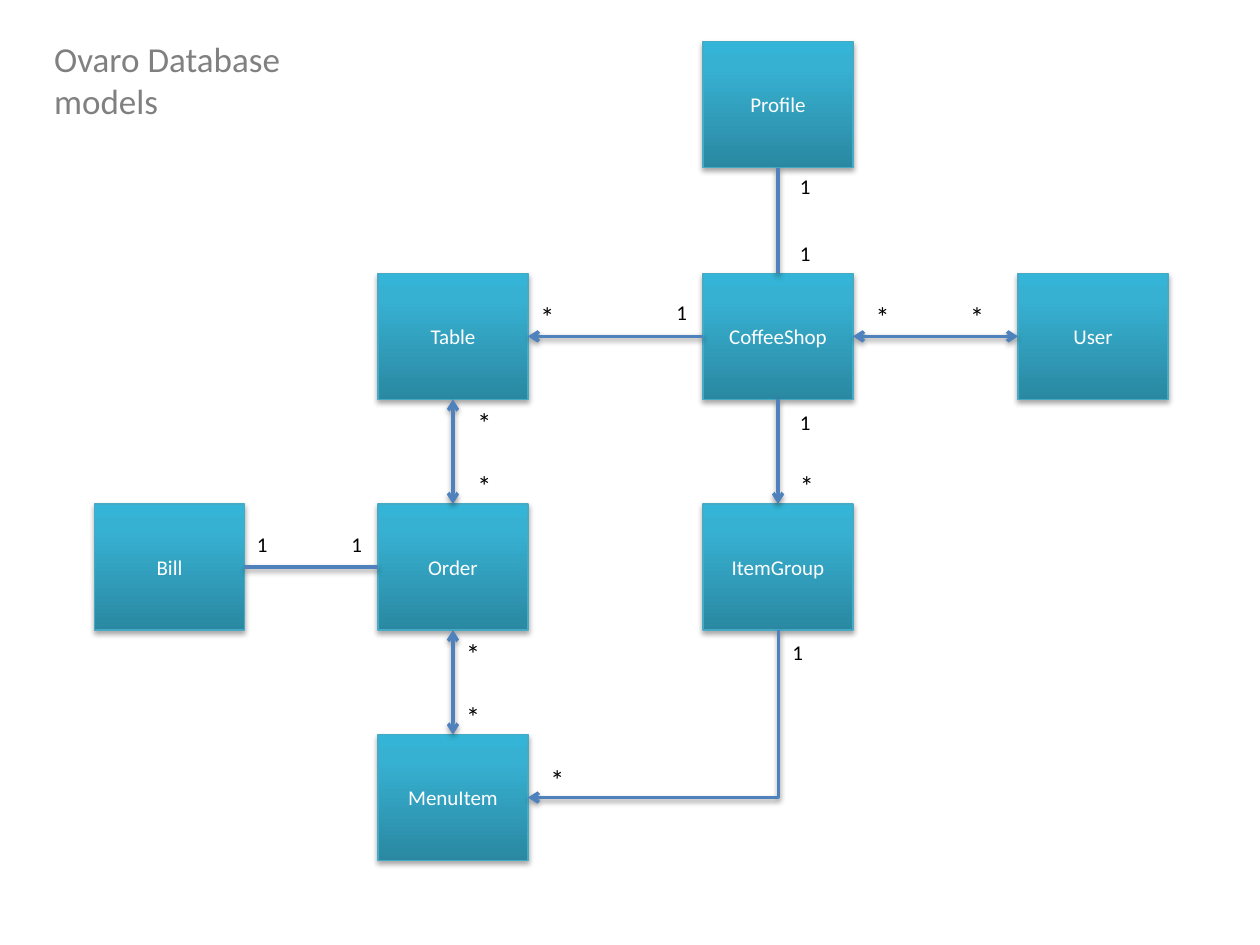
import copy
import pptx
import pptx.util
import pptx.dml.color
import pptx.enum.shapes
import pptx.enum.text
import pptx.oxml
import pptx.oxml.ns

Inches = pptx.util.Inches
qn = pptx.oxml.ns.qn
paint = pptx.dml.color.RGBColor.from_string
TOP, LEFT, BOTTOM, RIGHT = range(4)


def style(font, size, color):
    font.name = "Calibri"
    font.size = pptx.util.Pt(size)
    font.color.rgb = paint(color)


def shade(item, dist, alpha):
    item._element.spPr.append(pptx.oxml.parse_xml(
        f'<a:effectLst {pptx.oxml.ns.nsdecls("a")}>'
        f'<a:outerShdw blurRad="40000" dist="{dist}" dir="5400000" rotWithShape="0">'
        f'<a:srgbClr val="000000"><a:alpha val="{alpha}"/></a:srgbClr>'
        '</a:outerShdw></a:effectLst>'))


deck = pptx.Presentation()
deck.slide_width, deck.slide_height = Inches(10), Inches(7.5)
slide = deck.slides.add_slide(deck.slide_layouts[5])
shapes = slide.shapes

title = shapes.title
title.left, title.top = Inches(0.33), Inches(0.25)
title.width, title.height = Inches(2.86), Inches(0.44)
frame = title.text_frame
frame.text = "Ovaro Database models"
frame.word_wrap = False
frame.auto_size = pptx.enum.text.MSO_AUTO_SIZE.SHAPE_TO_FIT_TEXT
frame.vertical_anchor = pptx.enum.text.MSO_ANCHOR.TOP
frame.paragraphs[0].alignment = pptx.enum.text.PP_ALIGN.LEFT
style(frame.paragraphs[0].font, 20, "808080")

cols = [0.75, 3, 5.58, 8.08]
rows = [0.33, 2.17, 4, 5.83]
models = [
    ("CoffeeShop", 2, 1), ("User", 3, 1), ("ItemGroup", 2, 2),
    ("MenuItem", 1, 3), ("Order", 1, 2), ("Bill", 0, 2),
    ("Table", 1, 1), ("Profile", 2, 0),
]
stops = [(0, "2A88A2"), (0.8, "37B1D2"), (1, "34B4D6")]
boxes = {}
for name, col, row in models:
    box = shapes.add_shape(
        pptx.enum.shapes.MSO_SHAPE.RECTANGLE,
        Inches(cols[col]), Inches(rows[row]), Inches(1.19), Inches(1))
    box.fill.gradient()
    box.fill.gradient_angle = 90
    marks = box._element.spPr.find(".//" + qn("a:gsLst"))
    marks.append(copy.deepcopy(marks[-1]))
    for stop, (place, color) in zip(box.fill.gradient_stops, stops):
        stop.position = place
        stop.color.rgb = paint(color)
    box.line.color.rgb = paint("46AAC5")
    box.line.width = pptx.util.Pt(0.75)
    shade(box, 23000, 35000)
    frame = box.text_frame
    frame.text = name
    frame.vertical_anchor = pptx.enum.text.MSO_ANCHOR.MIDDLE
    frame.paragraphs[0].alignment = pptx.enum.text.PP_ALIGN.CENTER
    style(frame.paragraphs[0].font, 12, "FFFFFF")
    boxes[name] = box

both, tail = ["headEnd", "tailEnd"], ["tailEnd"]
links = [
    ("CoffeeShop", RIGHT, "User", LEFT, both),
    ("CoffeeShop", LEFT, "Table", RIGHT, tail),
    ("CoffeeShop", BOTTOM, "ItemGroup", TOP, tail),
    ("Table", BOTTOM, "Order", TOP, both),
    ("Order", BOTTOM, "MenuItem", TOP, both),
    ("ItemGroup", BOTTOM, "MenuItem", RIGHT, tail),
    ("Order", LEFT, "Bill", RIGHT, []),
    ("CoffeeShop", TOP, "Profile", BOTTOM, []),
]
kinds = pptx.enum.shapes.MSO_CONNECTOR
for start, out, end, into, heads in links:
    bent = (out, into) == (BOTTOM, RIGHT)
    link = shapes.add_connector(kinds.ELBOW if bent else kinds.STRAIGHT, 0, 0, 0, 0)
    link.begin_connect(boxes[start], out)
    link.end_connect(boxes[end], into)
    if bent:
        link.left, link.top = Inches(4.52), Inches(4.67)
        link.width, link.height = Inches(1.33), Inches(1.99)
        form = link._element.spPr.find(qn("a:xfrm"))
        form.attrib.pop("flipH", None)
        form.set("rot", "5400000")
        link._element.spPr.find(qn("a:prstGeom")).set("prst", "bentConnector2")
    link.line.color.rgb = paint("4F81BD")
    link.line.width = pptx.util.Pt(2)
    for head in heads:
        link._element.spPr.find(qn("a:ln")).append(pptx.oxml.parse_xml(
            f'<a:{head} {pptx.oxml.ns.nsdecls("a")} type="arrow"/>'))
    shade(link, 20000, 38000)

ones = [
    (6.19, 5.03), (1.94, 4.17), (2.69, 4.17), (5.27, 2.33),
    (6.25, 1.33), (6.25, 1.86), (6.25, 3.2),
]
stars = [
    (7.6, 2.33), (6.85, 2.33), (4.19, 2.33), (6.25, 3.67), (3.69, 3.67),
    (3.69, 3.17), (4.27, 6), (3.6, 5), (3.6, 5.5),
]
for text, spots, wide, high, size in [
    ("1", ones, 0.29, 0.3, 12), ("*", stars, 0.42, 0.37, 16),
]:
    for x, y in spots:
        note = shapes.add_textbox(Inches(x), Inches(y), Inches(wide), Inches(high))
        frame = note.text_frame
        frame.text = text
        frame.word_wrap = text == "*"
        frame.auto_size = pptx.enum.text.MSO_AUTO_SIZE.SHAPE_TO_FIT_TEXT
        style(frame.paragraphs[0].font, size, "000000")

deck.save("out.pptx")
